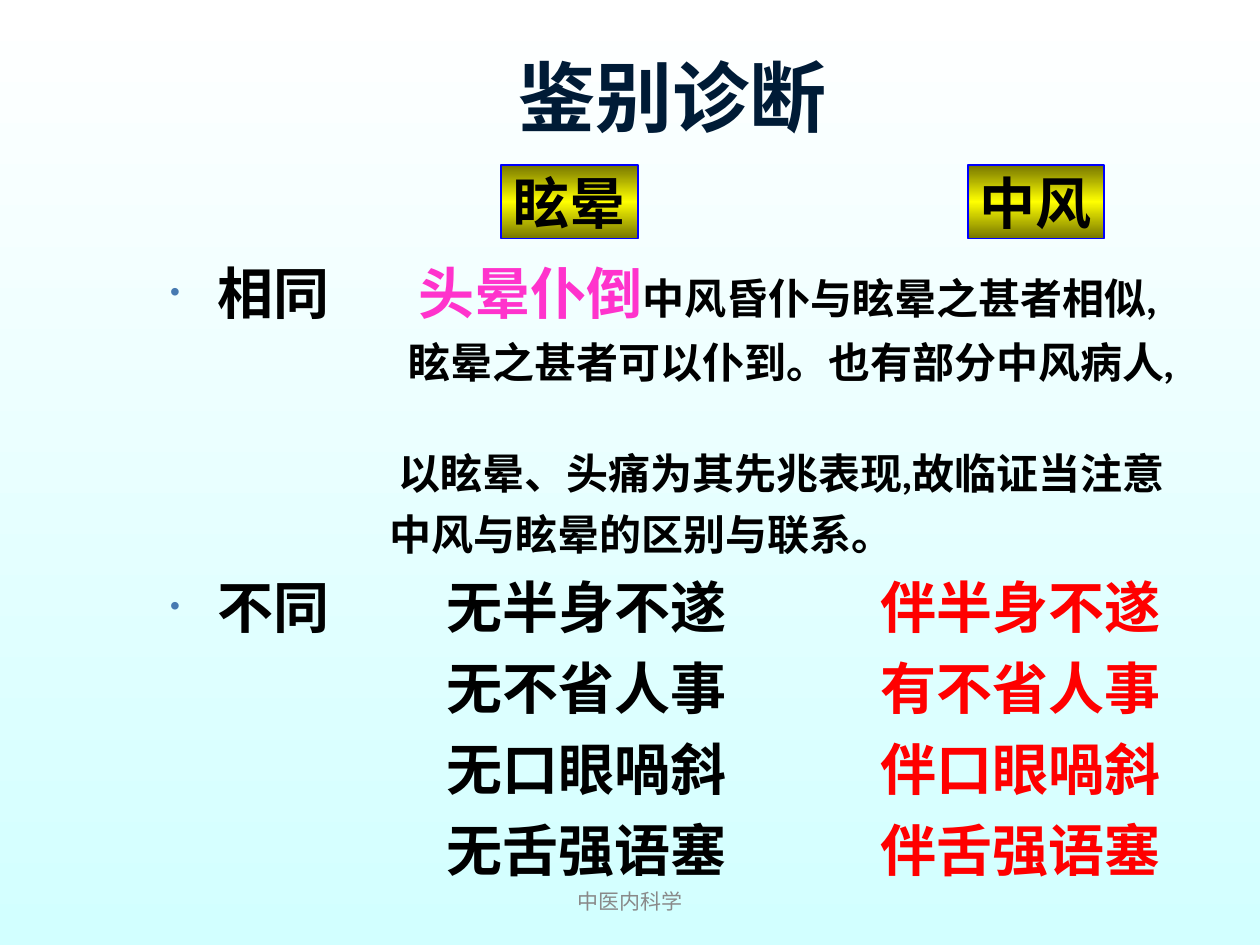
"""Builds the slide that tells vertigo apart from stroke."""
import copy

import pptx
import pptx.dml.color
import pptx.enum.shapes
import pptx.enum.text
import pptx.oxml
import pptx.oxml.ns
import pptx.util

Pt = pptx.util.Pt
RGB = pptx.dml.color.RGBColor
ALIGN = pptx.enum.text.PP_ALIGN
ANCHOR = pptx.enum.text.MSO_ANCHOR
qn = pptx.oxml.ns.qn

WHITE = RGB(0xFF, 0xFF, 0xFF)
PALE_CYAN = RGB(0xD2, 0xFF, 0xFF)
NAVY = RGB(0x00, 0x1B, 0x36)
BLACK = RGB(0x00, 0x00, 0x00)
PINK = RGB(0xFF, 0x33, 0xCC)
RED = RGB(0xFF, 0x00, 0x00)
GREY = RGB(0x89, 0x89, 0x89)
BLUE = RGB(0x00, 0x00, 0xFF)
OLIVE = RGB(0x76, 0x76, 0x00)
YELLOW = RGB(0xFF, 0xFF, 0x00)
BULLET_BLUE = RGB(0x47, 0x7A, 0xB1)
HANGING = 27


class SlideWriter:
    """Holds the style and the current slide."""

    title_font = "Roboto"
    body_font = "Cambria"
    label_font = "Times New Roman"

    def __init__(self, slide):
        self.slide = slide

    def background(self, top, bottom):
        fill = self.slide.background.fill
        fill.gradient()
        fill.gradient_angle = 270
        for stop, color in zip(fill.gradient_stops, (top, bottom)):
            stop.color.rgb = color

    def place(self, part, left, top, width, height):
        part.left, part.top = Pt(left), Pt(top)
        part.width, part.height = Pt(width), Pt(height)

    def style(self, run, font, size, color, bold=True):
        run.font.name, run.font.size, run.font.bold = font, Pt(size), bold
        run.font.color.rgb = color

    def line(self, frame, text, font, size, color, bold=True):
        frame.auto_size = pptx.enum.text.MSO_AUTO_SIZE.NONE
        frame.vertical_anchor = ANCHOR.MIDDLE
        frame.text = text
        frame.paragraphs[0].alignment = ALIGN.CENTER
        self.style(frame.paragraphs[0].runs[0], font, size, color, bold)

    def title(self, text, *box):
        heading = self.slide.shapes.title
        self.place(heading, *box)
        self.line(heading.text_frame, text, self.title_font, 44, NAVY)

    def footer(self, text, *box):
        subject = self.slide.shapes.add_textbox(*map(Pt, box))
        subject.text_frame.word_wrap = True
        self.line(subject.text_frame, text, self.label_font, 12, GREY, False)

    def label(self, text, *box):
        disease = self.slide.shapes.add_shape(
            pptx.enum.shapes.MSO_SHAPE.RECTANGLE, *map(Pt, box))
        disease.shadow.inherit = False
        disease.fill.gradient()
        disease.fill.gradient_angle = 270
        first = disease._element.spPr.find(".//" + qn("a:gs"))
        first.addnext(copy.deepcopy(first))
        stops = disease.fill.gradient_stops
        for stop, position, color in zip(stops, (0, 0.5, 1), (OLIVE, YELLOW, OLIVE)):
            stop.position = position
            stop.color.rgb = color
        disease.line.color.rgb = BLUE
        disease.line.width = Pt(1)
        disease.text_frame.word_wrap = False
        self.line(disease.text_frame, text, self.label_font, 32, BLACK)

    def body(self, entries, *box):
        findings = self.slide.placeholders[1]
        self.place(findings, *box)
        frame = findings.text_frame
        frame.auto_size = pptx.enum.text.MSO_AUTO_SIZE.NONE
        frame.vertical_anchor = ANCHOR.TOP
        for number, entry in enumerate(entries):
            paragraph = frame.add_paragraph() if number else frame.paragraphs[0]
            self.entry(paragraph, **entry)

    def entry(self, paragraph, rows, before=0, pitch=None, left=0, tabs=()):
        paragraph.space_before = Pt(before)
        paragraph.alignment = ALIGN.LEFT
        if pitch:
            paragraph.line_spacing = Pt(pitch)
        for number, row in enumerate(rows):
            if number:
                paragraph.add_line_break()
            for text, size, color in row:
                run = paragraph.add_run()
                run.text = text
                self.style(run, self.body_font, size, color)
        properties = paragraph._p.get_or_add_pPr()
        properties.set("marL", str(Pt(HANGING if tabs else left)))
        properties.set("indent", str(-Pt(HANGING) if tabs else 0))
        if not tabs:
            self.element(properties, "a:buNone")
            return
        color = self.element(properties, "a:buClr")
        self.element(color, "a:srgbClr", val=str(BULLET_BLUE))
        self.element(properties, "a:buSzPct", val="50000")
        self.element(properties, "a:buFont", typeface="Arial")
        self.element(properties, "a:buChar", char="•")
        stops = self.element(properties, "a:tabLst")
        for position in tabs:
            self.element(stops, "a:tab", pos=str(Pt(position)), algn="l")

    def element(self, parent, tag, **attributes):
        child = pptx.oxml.parse_xml(f"<{tag} {pptx.oxml.ns.nsdecls('a')}/>")
        for key, value in attributes.items():
            child.set(key, value)
        parent.append(child)
        return child


def main():
    deck = pptx.Presentation()
    deck.slide_width, deck.slide_height = Pt(720), Pt(540)
    writer = SlideWriter(deck.slides.add_slide(deck.slide_layouts[1]))
    writer.background(WHITE, PALE_CYAN)
    writer.title("鉴别诊断", 78.5, 33.8, 612, 41.8)

    same = dict(rows=[[("相同\t", 32, BLACK), ("头晕仆倒", 32, PINK),
                       ("中风昏仆与眩晕之甚者相似,", 24, BLACK)]],
                before=6, tabs=[142])
    explanations = [
        dict(rows=[[(text, 24, BLACK)]], before=before, left=left)
        for text, left, before in (
            ("眩晕之甚者可以仆到。也有部分中风病人,", 136, 6),
            ("以眩晕、头痛为其先兆表现,故临证当注意", 130.5, 35),
            ("中风与眩晕的区别与联系。", 125.5, 6))]
    contrasts = [("不同", "无半身不遂", "伴半身不遂"), ("", "无不省人事", "有不省人事"),
                 ("", "无口眼喎斜", "伴口眼喎斜"), ("", "无舌强语塞", "伴舌强语塞")]
    different = dict(
        rows=[[(f"{heading}\t{vertigo}\t", 32, BLACK), (stroke, 32, RED)]
              for heading, vertigo, stroke in contrasts],
        pitch=46.3, tabs=[158, 406])
    writer.body([same, *explanations, different], 90, 144, 612, 420)

    writer.footer("中医内科学", 246, 500.4, 228, 29)
    for disease, left in (("眩晕", 286.5), ("中风", 553)):
        writer.label(disease, left, 94.3, 78, 42)
    deck.save("out.pptx")


if __name__ == "__main__":
    main()
